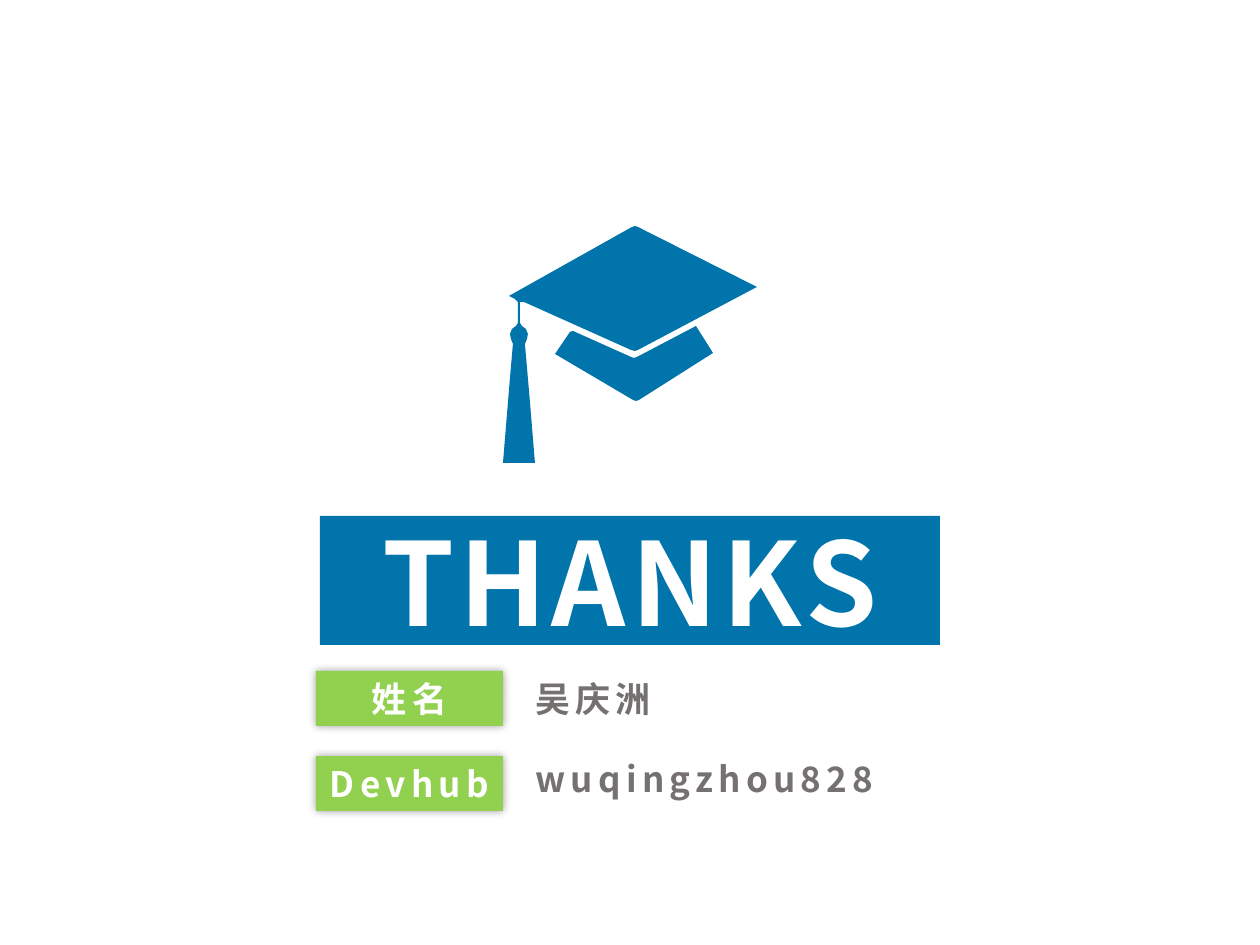
from lxml.etree import SubElement
from pptx import Presentation
from pptx.dml.color import RGBColor
from pptx.enum.shapes import MSO_SHAPE
from pptx.enum.text import MSO_ANCHOR, MSO_AUTO_SIZE, PP_ALIGN
from pptx.oxml.ns import qn
from pptx.util import Emu, Pt

PX = 914400 // 126
FONT = "Noto Sans CJK SC"
BLUE, GREEN, GRAY, WHITE = "0174AB", "92D14F", "767171", "FFFFFF"

BANNER = ("THANKS", (320, 516, 620, 129))
DETAILS = [
    ("姓名", (316, 671), "吴庆洲", (523, 671, 223)),
    ("Devhub", (316, 756), "wuqingzhou828", (523, 751, 417)),
]
LABEL_WIDTH, ROW_HEIGHT = 187, 55
CAP_TOP_AND_TASSEL = [
    (520, 302), (520, 323), (522, 326), (526, 329), (528, 334), (527, 339),
    (525, 344), (530, 402), (535, 463), (503, 463), (510, 378), (513, 344),
    (511, 339), (510, 334), (512, 329), (516, 326), (518, 323), (518, 302),
    (515, 299), (509, 296), (632, 227), (635, 226), (638, 227), (757, 287),
    (638, 350), (635, 351), (631, 350), (524, 302),
]
CAP_BASE = [
    (555, 354), (570, 332), (573, 331), (631, 357), (634, 358), (637, 357),
    (696, 326), (713, 353), (639, 400), (636, 401), (633, 400),
]


def color(value):
    return RGBColor.from_string(value)


def paint(shape, fill):
    shape.shadow.inherit = False
    shape.fill.solid()
    shape.fill.fore_color.rgb = color(fill)
    shape.line.fill.background()


def write(shape, text, size, text_color, alignment):
    paragraph = shape.text_frame.paragraphs[0]
    paragraph.alignment = alignment
    run = paragraph.add_run()
    run.text = text
    run.font.size = Pt(size)
    run.font.bold = True
    run.font.color.rgb = color(text_color)
    run.font.name = FONT
    properties = run.font._element
    properties.set("spc", "300")
    SubElement(properties, qn("a:ea"), typeface=FONT)


def add_box(slide, text, box, fill, size):
    shape = slide.shapes.add_shape(MSO_SHAPE.RECTANGLE, *(Emu(n * PX) for n in box))
    paint(shape, fill)
    shape.text_frame.word_wrap = True
    shape.text_frame.vertical_anchor = MSO_ANCHOR.MIDDLE
    write(shape, text, size, WHITE, PP_ALIGN.CENTER)
    return shape


def add_glow_shadow(shape):
    effects = shape._element.spPr.find(qn("a:effectLst"))
    shadow = SubElement(effects, qn("a:outerShdw"), blurRad=str(Pt(5)), dist="0",
                        algn="ctr", rotWithShape="0")
    shade = SubElement(shadow, qn("a:srgbClr"), val="000000")
    SubElement(shade, qn("a:alpha"), val="40000")


def add_value(slide, text, box):
    shape = slide.shapes.add_textbox(*(Emu(n * PX) for n in box))
    shape.text_frame.word_wrap = True
    shape.text_frame.auto_size = MSO_AUTO_SIZE.SHAPE_TO_FIT_TEXT
    write(shape, text, 20, GRAY, PP_ALIGN.LEFT)


def add_cap(slide):
    group = slide.shapes.add_group_shape()
    for points in (CAP_TOP_AND_TASSEL, CAP_BASE):
        builder = group.shapes.build_freeform(*points[0], scale=PX)
        builder.add_line_segments(points[1:], close=True)
        paint(builder.convert_to_shape(), BLUE)


def main():
    """Build the closing slide with its graduation cap and contact details."""
    presentation = Presentation()
    presentation.slide_width = Emu(1260 * PX)
    presentation.slide_height = Emu(945 * PX)
    slide = presentation.slides.add_slide(presentation.slide_layouts[6])
    add_box(slide, *BANNER, BLUE, 66)
    add_cap(slide)
    for label, corner, value, (left, top, width) in DETAILS:
        add_glow_shadow(add_box(slide, label, (*corner, LABEL_WIDTH, ROW_HEIGHT), GREEN, 20))
        add_value(slide, value, (left, top, width, ROW_HEIGHT))
    presentation.save("out.pptx")


if __name__ == "__main__":
    main()
